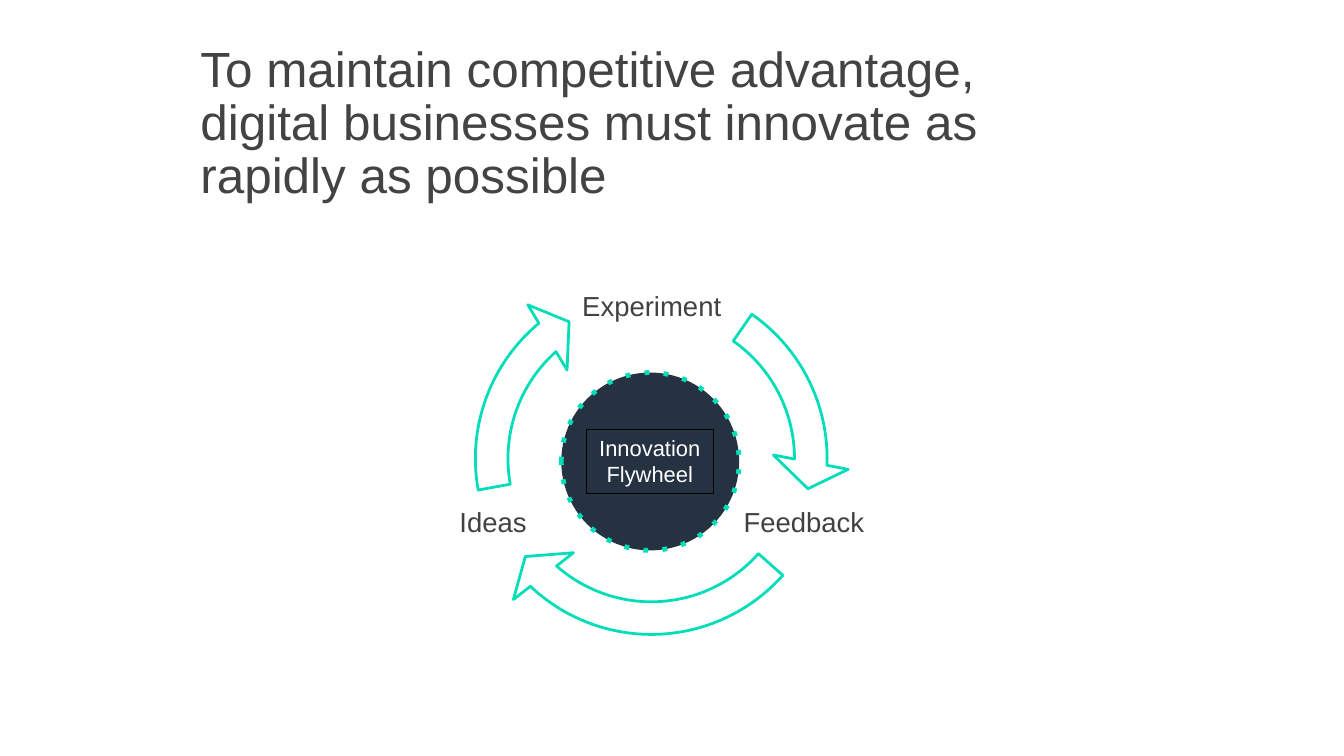
from pptx import Presentation
from pptx.dml.color import RGBColor
from pptx.enum.dml import MSO_LINE
from pptx.enum.shapes import MSO_SHAPE
from pptx.enum.text import MSO_ANCHOR, PP_ALIGN
from pptx.oxml.ns import qn
from pptx.util import Inches, Pt

OVAL, CIRCULAR_ARROW = MSO_SHAPE.OVAL, MSO_SHAPE.CIRCULAR_ARROW
DOT = MSO_LINE.ROUND_DOT
TOP, MIDDLE = MSO_ANCHOR.TOP, MSO_ANCHOR.MIDDLE
LEFT, CENTER = PP_ALIGN.LEFT, PP_ALIGN.CENTER
TEAL, NAVY = "00DDB8", "253241"


def rgb(value):
    return RGBColor.from_string(value)


def add_text(text, box, size, color, align=CENTER, anchor=TOP, inset=(0.1, 0.05), spacing=0.9):
    sp = slide.shapes.add_textbox(*[Inches(v) for v in box])
    tf = sp.text_frame
    tf.word_wrap = True
    tf.vertical_anchor = anchor
    tf.margin_left = tf.margin_right = Inches(inset[0])
    tf.margin_top = tf.margin_bottom = Inches(inset[1])
    p = tf.paragraphs[0]
    p.text = text
    p.alignment = align
    p.line_spacing = spacing
    for r in p.runs:
        r.font.name = "Arial"
        r.font.size = Pt(size)
        r.font.color.rgb = rgb(color)
    return sp


prs = Presentation()
prs.slide_width, prs.slide_height = Inches(13.6), Inches(7.65)
slide = prs.slides.add_slide(prs.slide_layouts[6])

# Title
add_text("To maintain competitive advantage, digital businesses must innovate as rapidly as possible",
         (1.93, 0.4, 8.97, 0.6), 36, "434343", align=LEFT)

# Stage labels
for stage, box in [
    ("Feedback", (7.33, 5.09, 1.61, 0.42)),
    ("Ideas", (4.5, 5.09, 0.98, 0.42)),
    ("Experiment", (5.79, 2.93, 1.61, 0.37)),
]:
    add_text(stage, box, 20, "414042", anchor=MIDDLE, inset=(0.03, 0.03))

# Hub
hub = slide.shapes.add_shape(OVAL, Inches(5.68), Inches(3.77), Inches(1.8), Inches(1.8))
hub.shadow.inherit = False
hub.fill.solid()
hub.fill.fore_color.rgb = rgb(NAVY)
hub.line.color.rgb = rgb(TEAL)
hub.line.width = Pt(3.5)
hub.line.dash_style = DOT
hub.line._ln.find(qn("a:prstDash")).set("val", "dot")

# The label breaks inside one paragraph
hub_label = add_text("Innovation\nFlywheel", (5.93, 4.35, 1.29, 0.64), 16, "FFFFFF", spacing=1)
hub_label.line.color.rgb = rgb("000000")
hub_label.line.width = Pt(0.75)

# Circular arrows: rotation and tail angle in degrees
DEGREE = 0.6  # one degree in adjustment units
for rotation, tail in [(83.1, 318.5), (180, 349.7), (311.9, 353)]:
    arrow = slide.shapes.add_shape(CIRCULAR_ARROW, Inches(4.59), Inches(2.64), Inches(4), Inches(4))
    arrow.rotation = rotation
    adjustments = (0.0825, 9.6 * DEGREE, 49.4 * DEGREE, tail * DEGREE, 0.09625)
    for i, value in enumerate(adjustments):
        arrow.adjustments[i] = value
    arrow.shadow.inherit = False
    arrow.fill.background()
    arrow.line.color.rgb = rgb(TEAL)
    arrow.line.width = Pt(2)

prs.save("out.pptx")
